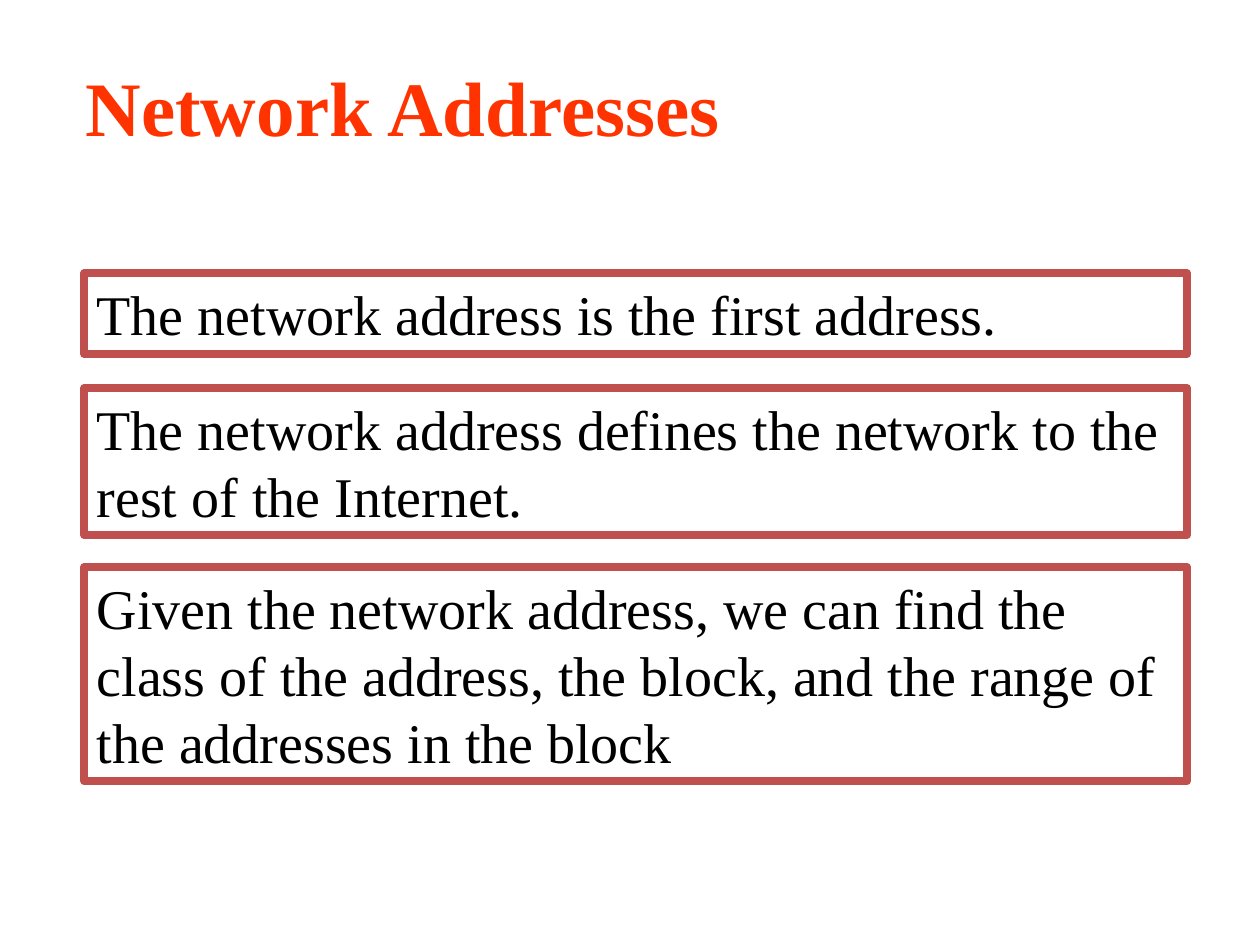
from dataclasses import dataclass
from pptx import Presentation
from pptx.dml.color import RGBColor
from pptx.enum import shapes, text
from pptx.util import Cm, Pt


@dataclass(frozen=True)
class Theme:
    """Colours, font and type sizes of the slide."""
    font: str = "Times New Roman"
    head: str = "FF3300"
    ink: str = "000000"
    edge: str = "C0504D"
    big: int = 44
    body: int = 32
    rule: float = 4.5
    lead: float = 1.2


THEME = Theme()
LEFT, WIDTH = 1.7, 22.23
NOTES = [
    (5.51, 1.63, "The network address is the first address."),
    (7.82, 2.97, "The network address defines the network to the rest of the Internet."),
    (11.43, 4.32, "Given the network address, we can find the class of the address, "
                  "the block, and the range of the addresses in the block"),
]


def write(shape, words, size, tint, bold=False):
    """Fill a shape with one left-aligned paragraph."""
    frame = shape.text_frame
    frame.text = words
    frame.word_wrap = True
    frame.auto_size = text.MSO_AUTO_SIZE.NONE
    frame.vertical_anchor = text.MSO_ANCHOR.TOP
    para = frame.paragraphs[0]
    para.alignment = text.PP_ALIGN.LEFT
    para.line_spacing = Pt(size * THEME.lead)
    para.font.name = THEME.font
    para.font.size = Pt(size)
    para.font.bold = bold
    para.font.color.rgb = RGBColor.from_string(tint)


def add_title(slide, box, words):
    """Place the title in the given box."""
    title = slide.shapes.title
    title.left, title.top, title.width, title.height = map(Cm, box)
    write(title, words, THEME.big, THEME.head, True)


def add_note(slide, box, words):
    """Draw one framed statement in the given box."""
    note = slide.shapes.add_shape(shapes.MSO_SHAPE.RECTANGLE, *map(Cm, box))
    note.shadow.inherit = False
    note.fill.background()
    note.line.color.rgb = RGBColor.from_string(THEME.edge)
    note.line.width = Pt(THEME.rule)
    write(note, words, THEME.body, THEME.ink)


def main():
    """Build and save the slide."""
    deck = Presentation()
    deck.slide_width, deck.slide_height = Cm(25.4), Cm(19.05)
    slide = deck.slides.add_slide(deck.slide_layouts[5])
    add_title(slide, (1.47, 1.07, 13.97, 2.13), "Network Addresses")
    for top, height, words in NOTES:
        add_note(slide, (LEFT, top, WIDTH, height), words)
    deck.save("out.pptx")


if __name__ == "__main__":
    main()
